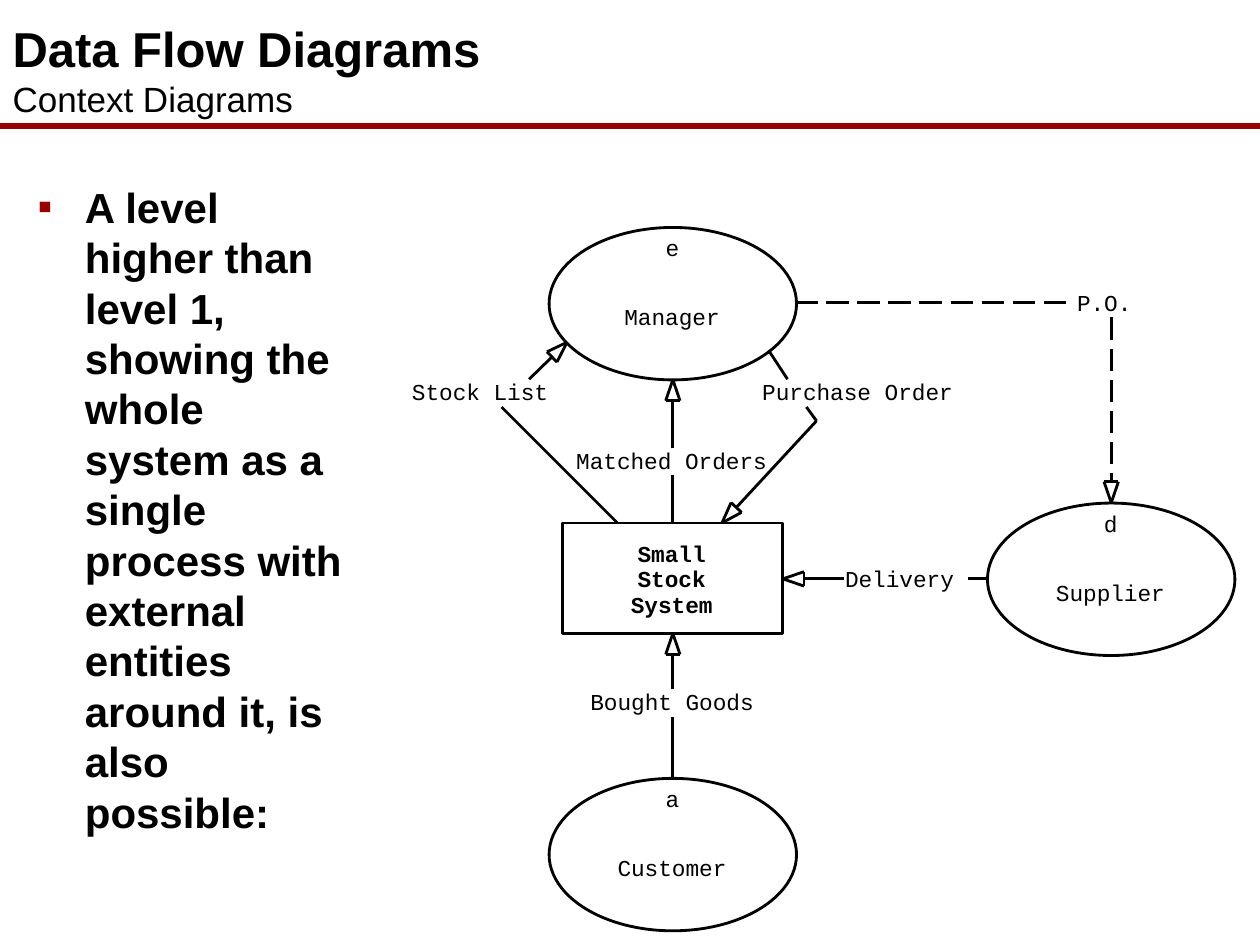
from dataclasses import dataclass
from math import hypot

from lxml.etree import SubElement
from pptx import Presentation
from pptx.dml.color import RGBColor
from pptx.enum.dml import MSO_LINE
from pptx.enum.shapes import MSO_CONNECTOR, MSO_SHAPE
from pptx.enum.text import MSO_ANCHOR, MSO_AUTO_SIZE as AUTO_SIZE, PP_ALIGN
from pptx.oxml.ns import qn
from pptx.util import Pt

BLACK, RED = "000000", "990000"
STROKE = 1.62
ENTITY_WIDTH, ENTITY_HEIGHT = 141.4, 87.1
LETTER_WIDTH, LABEL_HEIGHT = 7.8, 15.8
HEAD_LENGTH, HEAD_HALF_WIDTH = 12, 4.1
SYSTEM_TOP, SYSTEM_PITCH = 308.2, 14.75

Point = tuple[float, float]


@dataclass
class Entity:
    code: str
    name: str
    centre: float
    top: float


@dataclass
class Flow:
    """A labelled flow; the last of its paths ends in an arrowhead."""
    label: str
    centre: float
    top: float
    paths: list[list[Point]]
    dashed: bool = False


ENTITIES = [
    Entity("e", "Manager", 384.5, 130),
    Entity("d", "Supplier", 635, 287.5),
    Entity("a", "Customer", 384.5, 444.8),
]

FLOWS = [
    Flow("Bought Goods", 384, 393.1, [[(384.5, 444.5), (384.5, 409.7)], [(384.5, 393.8), (384.5, 362)]]),
    Flow("Purchase Order", 490, 216, [[(439.2, 200.2), (450, 216.7)],
                                      [(460.8, 232.6), (466.6, 240.5), (412.6, 298.8)]]),
    Flow("P.O.", 631, 164.9, [[(454.3, 172.8), (609, 172.8)], [(635, 181.4), (635, 287.3)]], True),
    Flow("Stock List", 274.3, 216, [[(352.8, 298.8), (286.6, 232.6)], [(302.4, 216.7), (324, 195.6)]]),
    Flow("Delivery", 514, 322.9, [[(564.5, 330.8), (553, 330.8)], [(482.4, 330.8), (447.4, 330.8)]]),
    Flow("Matched Orders", 383.7, 255.2, [[(384.5, 298.8), (384.5, 271.4)], [(384.5, 256.3), (384.5, 217)]]),
]


def color(hex_value: str) -> RGBColor:
    return RGBColor.from_string(hex_value)


def add_text(para, text: str, formats: dict) -> None:
    span = para.add_run()
    span.text = text
    for name, value in formats.items():
        setattr(span.font, name, value)
    span.font.color.rgb = color(BLACK)


def add_outline(page, kind, left: float, top: float, width: float, height: float) -> None:
    shape = page.shapes.add_shape(kind, Pt(left), Pt(top), Pt(width), Pt(height))
    shape.shadow.inherit = False
    shape.fill.background()
    shape.line.color.rgb = color(BLACK)
    shape.line.width = Pt(STROKE)


def set_frame(frame, across: float, down: float, wrap: bool) -> None:
    frame.margin_left = frame.margin_right = Pt(across)
    frame.margin_top = frame.margin_bottom = Pt(down)
    frame.word_wrap = wrap


def add_line(page, start: Point, end: Point, width=STROKE, hex_value=BLACK, dashed=False) -> None:
    line = page.shapes.add_connector(
        MSO_CONNECTOR.STRAIGHT, *(Pt(value) for value in (*start, *end)))
    line.line.color.rgb = color(hex_value)
    line.line.width = Pt(width)
    if dashed:
        line.line.dash_style = MSO_LINE.LONG_DASH
    SubElement(line._element.spPr, qn("a:effectLst"))


def add_label(page, text: str, centre: float, top: float, bold=False) -> None:
    width = LETTER_WIDTH * len(text)
    box = page.shapes.add_textbox(Pt(centre - width / 2), Pt(top), Pt(width), Pt(LABEL_HEIGHT))
    set_frame(box.text_frame, 0, 0, False)
    para = box.text_frame.paragraphs[0]
    para.alignment = PP_ALIGN.CENTER
    add_text(para, text, {"name": "Courier New", "size": Pt(13), "bold": bold})


def add_head(page, start: Point, tip: Point) -> Point:
    """Draw an open triangle pointing to tip and return the middle of its base."""
    (x, y), length = tip, hypot(tip[0] - start[0], tip[1] - start[1])
    across, down = (x - start[0]) / length, (y - start[1]) / length
    base = (x - HEAD_LENGTH * across, y - HEAD_LENGTH * down)
    first, second = ((base[0] + side * down, base[1] - side * across)
                     for side in (HEAD_HALF_WIDTH, -HEAD_HALF_WIDTH))
    for edge in ((tip, first), (first, second), (second, tip)):
        add_line(page, *edge)
    return base


def add_flow(page, flow: Flow) -> None:
    *plain, last = flow.paths
    base = add_head(page, last[-2], last[-1])
    for path in [*plain, [*last[:-1], base]]:
        for start, end in zip(path, path[1:]):
            add_line(page, start, end, dashed=flow.dashed)
    add_label(page, flow.label, flow.centre, flow.top)


def add_entity(page, entity: Entity) -> None:
    add_outline(page, MSO_SHAPE.OVAL, entity.centre - ENTITY_WIDTH / 2, entity.top,
                ENTITY_WIDTH, ENTITY_HEIGHT)
    add_label(page, entity.name, entity.centre - 0.5, entity.top + 43)
    add_label(page, entity.code, entity.centre - 0.3, entity.top + 3.7)


def add_system(page) -> None:
    add_outline(page, MSO_SHAPE.RECTANGLE, 321.6, 298.9, 125.8, 63.2)
    for row, word in enumerate(("Small", "Stock", "System")):
        add_label(page, word, 383.8, SYSTEM_TOP + row * SYSTEM_PITCH, bold=True)


def format_title(title) -> None:
    title.left, title.top, title.width, title.height = Pt(0), Pt(7.2), Pt(588), Pt(64.8)
    frame = title.text_frame
    set_frame(frame, 7.2, 3.6, True)
    frame.vertical_anchor = MSO_ANCHOR.BOTTOM
    frame.auto_size = AUTO_SIZE.NONE
    lines = [("Data Flow Diagrams", 28, True), ("Context Diagrams", 20, False)]
    for index, (text, size, bold) in enumerate(lines):
        para = frame.add_paragraph() if index else frame.paragraphs[0]
        para.alignment = PP_ALIGN.LEFT
        add_text(para, text, {"name": "Arial", "size": Pt(size), "bold": bold})


def add_body(page) -> None:
    box = page.shapes.add_textbox(Pt(14.4), Pt(100), Pt(193), Pt(408))
    set_frame(box.text_frame, 7.2, 3.6, True)
    para = box.text_frame.paragraphs[0]
    para.space_before = Pt(6)
    properties = para._p.get_or_add_pPr()
    properties.set("marL", str(Pt(27)))
    properties.set("indent", str(Pt(-27)))
    bullet_color = SubElement(properties, qn("a:buClr"))
    SubElement(bullet_color, qn("a:srgbClr"), val=RED)
    SubElement(properties, qn("a:buFont"), typeface="Arial")
    SubElement(properties, qn("a:buChar"), char="▪")
    add_text(para, "A level higher than level 1, showing the whole system as a single process "
             "with external entities around it, is also possible:",
             {"name": "Arial", "size": Pt(24), "bold": True})


def main() -> None:
    deck = Presentation()
    deck.slide_width, deck.slide_height = Pt(720), Pt(540)
    page = deck.slides.add_slide(deck.slide_layouts[5])
    add_line(page, (0, 72), (720, 72), 4, RED)
    for entity in ENTITIES:
        add_entity(page, entity)
    for flow in FLOWS:
        add_flow(page, flow)
    add_system(page)
    format_title(page.shapes.title)
    add_body(page)
    deck.save("out.pptx")


if __name__ == "__main__":
    main()
